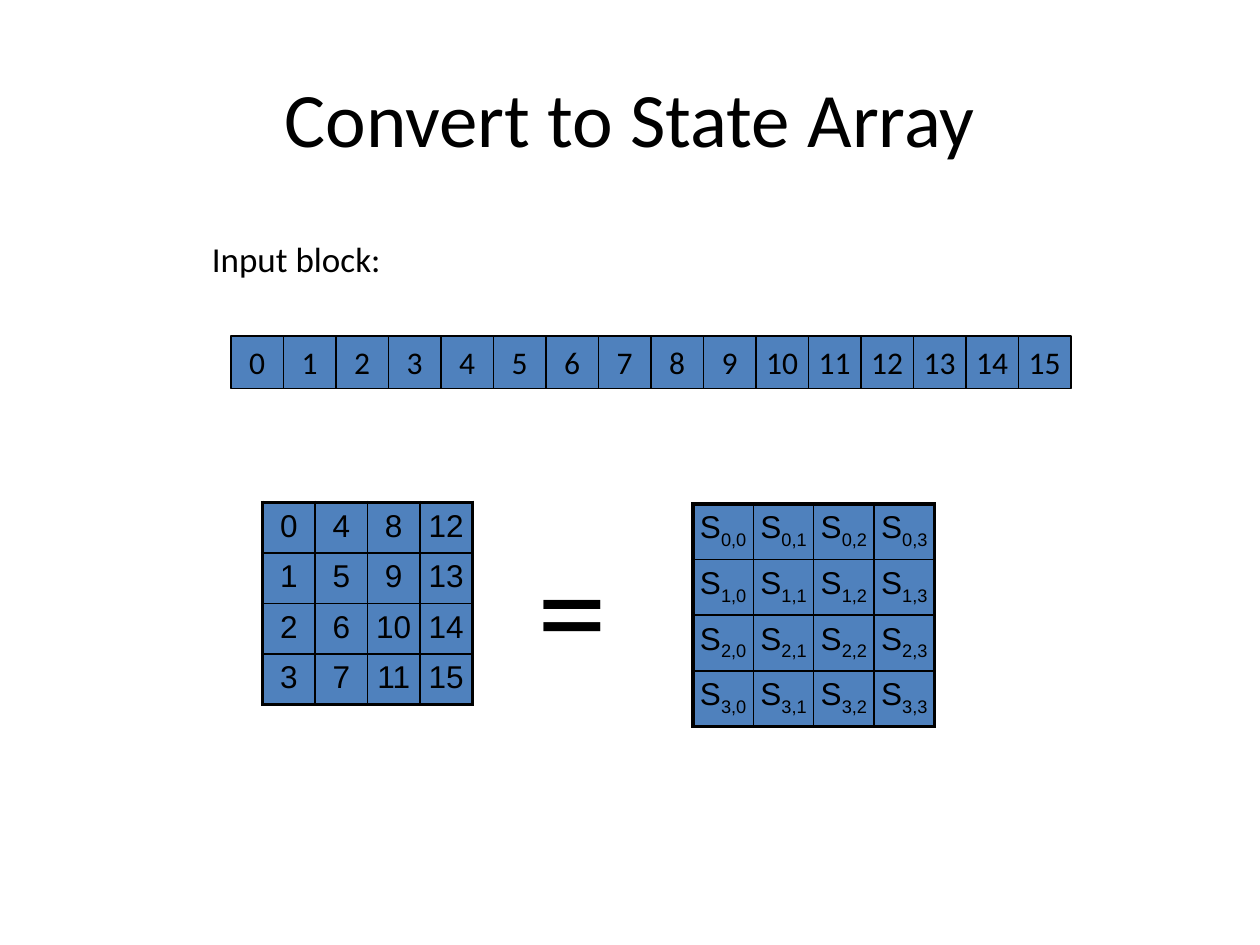
"""Build the slide that turns an input block into a state array."""
import pptx
import pptx.dml.color
import pptx.enum.shapes
import pptx.enum.text
import pptx.util
from lxml import etree
from pptx.oxml import ns

BLACK = pptx.dml.color.RGBColor(0x00, 0x00, 0x00)
BLUE = pptx.dml.color.RGBColor(0x4F, 0x81, 0xBD)
UNIT = pptx.util.Inches(10) / 24
SIDE = 4
THICK, THIN = 2.25, 1


def grid(*spans):
    return [round(span * UNIT) for span in spans]


def style(para, size, face="Calibri", align=pptx.enum.text.PP_ALIGN.CENTER):
    para.alignment = align
    para.font.size = pptx.util.Pt(size)
    para.font.name = face
    para.font.color.rgb = BLACK


def add_title(slide, text):
    title = slide.shapes.title
    title.left, title.top, title.width, title.height = grid(1.2, 0.72, 21.6, 3)
    title.text_frame.text = text
    style(title.text_frame.paragraphs[0], 44)


def add_label(slide, text, size, *place):
    frame = slide.shapes.add_textbox(*grid(*place)).text_frame
    frame.word_wrap = False
    frame.auto_size = pptx.enum.text.MSO_AUTO_SIZE.SHAPE_TO_FIT_TEXT
    frame.text = text
    style(frame.paragraphs[0], size, align=pptx.enum.text.PP_ALIGN.LEFT)


def add_block(group, text, col, row):
    kind = pptx.enum.shapes.MSO_SHAPE.RECTANGLE
    block = group.shapes.add_shape(kind, *grid(col, row, 1, 1))
    block.shadow.inherit = False
    block.fill.solid()
    block.fill.fore_color.rgb = BLUE
    block.line.color.rgb = BLACK
    block.line.width = pptx.util.Pt(0.75)
    frame = block.text_frame
    frame.word_wrap = False
    frame.vertical_anchor = pptx.enum.text.MSO_ANCHOR.MIDDLE
    frame.text = text
    style(frame.paragraphs[0], 18)


def add_input(slide, col, row):
    for word in range(SIDE):
        group = slide.shapes.add_group_shape()
        for num in range(word * SIDE, (word + 1) * SIDE):
            add_block(group, str(num), col + num, row)


def add_edge(cell, side, width):
    props = cell._tc.get_or_add_tcPr()
    line = etree.SubElement(props, ns.qn("a:ln" + side))
    line.set("w", str(pptx.util.Pt(width)))
    fill = etree.SubElement(line, ns.qn("a:solidFill"))
    etree.SubElement(fill, ns.qn("a:srgbClr")).set("val", str(BLACK))


def add_gap(para, share):
    props = para._p.get_or_add_pPr()
    gap = etree.Element(ns.qn("a:spcBef"))
    etree.SubElement(gap, ns.qn("a:spcPct")).set("val", str(share * 1000))
    props.insert(0, gap)


def fill_cell(cell, row, col, text, sub):
    last = SIDE - 1
    outer = {"L": col == 0, "R": col == last, "T": row == 0, "B": row == last}
    for side, edge in outer.items():
        add_edge(cell, side, THICK if edge else THIN)
    cell.fill.solid()
    cell.fill.fore_color.rgb = BLUE
    cell.margin_left = cell.margin_right = 0
    para = cell.text_frame.paragraphs[0]
    para.add_run().text = text
    style(para, 18, "Arial")
    add_gap(para, 20)
    if sub:
        run = para.add_run()
        run.text = sub
        run.font._element.set("baseline", "-25000")


def add_state(slide, place, size, label):
    wide, high = size
    spans = grid(*place, SIDE * wide, SIDE * high)
    table = slide.shapes.add_table(SIDE, SIDE, *spans).table
    table.first_row = table.horz_banding = False
    for row in range(SIDE):
        table.rows[row].height = grid(high)[0]
        table.columns[row].width = grid(wide)[0]
        for col in range(SIDE):
            fill_cell(table.cell(row, col), row, col, *label(row, col))


def main():
    deck = pptx.Presentation()
    deck.slide_width = pptx.util.Inches(10)
    deck.slide_height = pptx.util.Inches(7.5)
    slide = deck.slides.add_slide(deck.slide_layouts[5])
    add_title(slide, "Convert to State Array")
    add_input(slide, 4.4, 6.4)
    add_label(slide, "Input block:", 20, 3.8, 4.4, 3.72, 1.05)
    add_state(slide, (5, 9.57), (1, 0.86),
              lambda row, col: (str(row + SIDE * col), ""))
    add_state(slide, (13.2, 9.6), (1.15, 1),
              lambda row, col: ("S", f"{row},{col}"))
    add_label(slide, "=", 80, 10, 9.8, 2.05, 3.44)
    deck.save("out.pptx")


if __name__ == "__main__":
    main()
